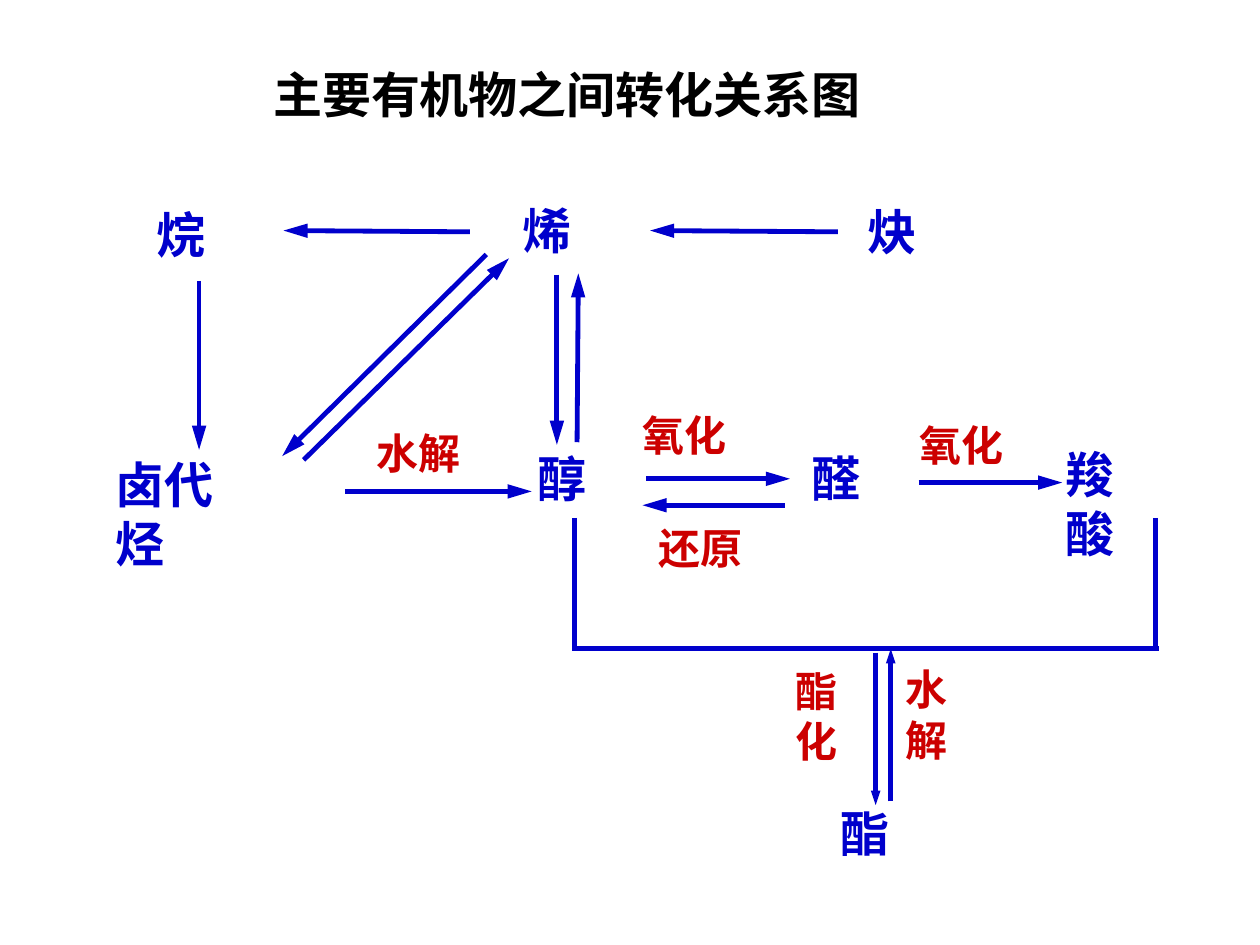
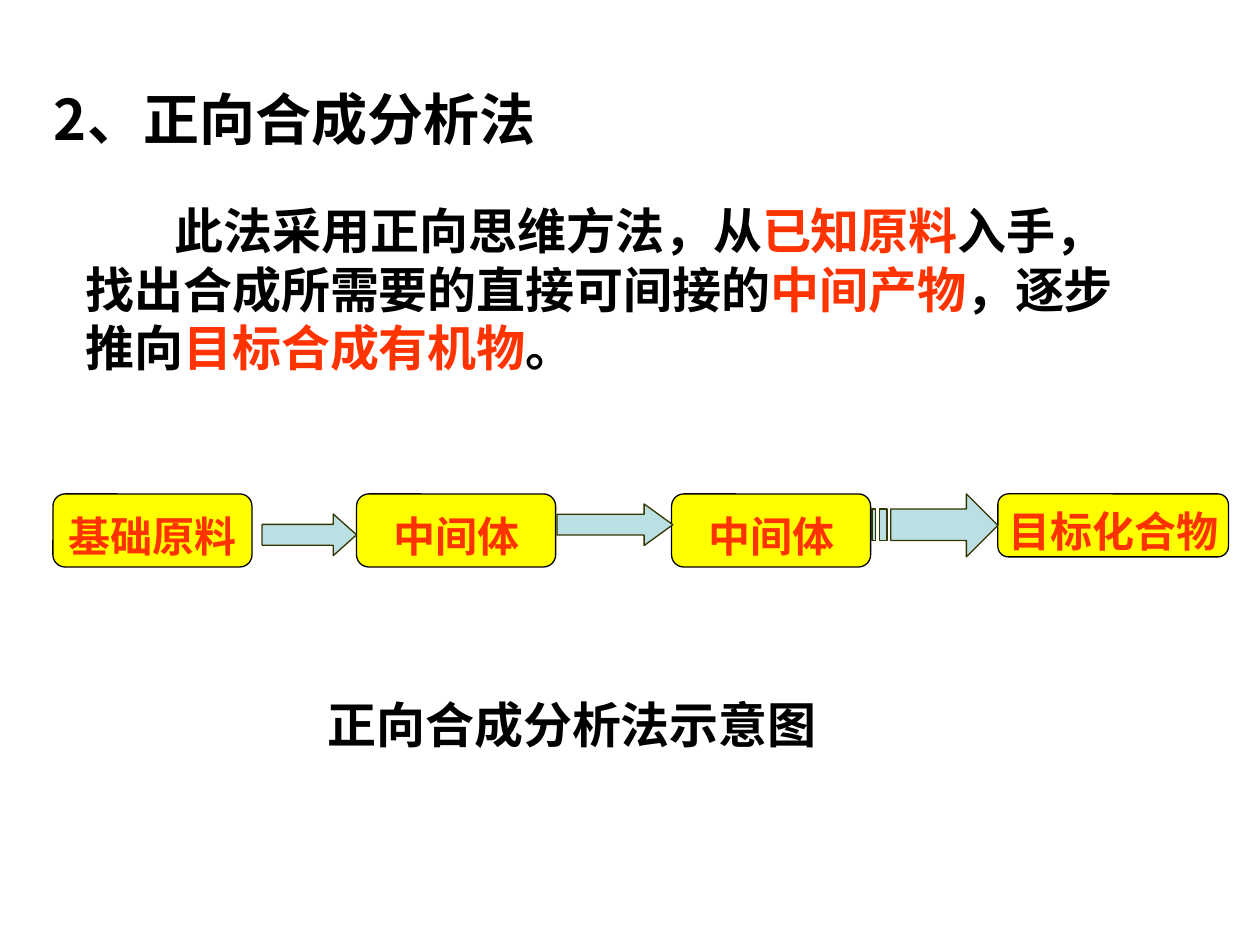
from pptx import Presentation
from pptx.dml.color import RGBColor
from pptx.enum.shapes import MSO_CONNECTOR, MSO_SHAPE
from pptx.enum.text import MSO_ANCHOR, PP_ALIGN
from pptx.oxml.ns import qn
from pptx.util import Inches, Pt
from lxml import etree

BLACK = RGBColor(0x00, 0x00, 0x00)
BLUE = RGBColor(0x00, 0x00, 0xCC)
RED = RGBColor(0xCC, 0x00, 0x00)
ORANGE = RGBColor(0xFF, 0x33, 0x00)
YELLOW = RGBColor(0xFF, 0xFF, 0x00)
TEAL = RGBColor(0xBB, 0xE0, 0xE3)
OLIVE = RGBColor(0x33, 0x33, 0x00)

SANS = "Noto Sans CJK SC"
SERIF = "Times New Roman"
LINE_SPACING = 1.2


def style_paragraph(paragraph, size, color, font_name):
    paragraph.line_spacing = Pt(size * LINE_SPACING)
    font = paragraph.font
    font.size, font.bold, font.name = Pt(size), True, font_name
    font.color.rgb = color
    properties = paragraph._p.get_or_add_pPr().find(qn("a:defRPr"))
    east_asian = etree.Element(qn("a:ea"), typeface=SANS)
    properties.find(qn("a:latin")).addnext(east_asian)


def set_frame(frame, wrap, indent=0.0):
    frame.word_wrap = wrap
    frame.margin_left, frame.margin_right = Inches(0.1 + indent), Inches(0.1)
    frame.margin_top, frame.margin_bottom = Inches(0.09), Inches(0.01)


def add_label(slide, text, box, size, color, font_name=SANS, wrap=True, indent=0.0):
    frame = slide.shapes.add_textbox(*map(Inches, box)).text_frame
    set_frame(frame, wrap, indent)
    frame.text = text
    for paragraph in frame.paragraphs:
        style_paragraph(paragraph, size, color, font_name)


def add_compound(slide, name, left, top, width, indent=0.0):
    add_label(slide, name, (left, top, width, 0.57), 28, BLUE, wrap=False, indent=indent)


def add_reaction(slide, name, left, top, height=0.5, indent=0.0):
    add_label(slide, name, (left, top, 1.37, height), 24, RED, indent=indent)


def add_line(slide, start, end, head=None):
    line = slide.shapes.add_connector(MSO_CONNECTOR.STRAIGHT, *map(Inches, start + end))
    line.line.color.rgb = BLUE
    line.line.width = Pt(2.75)
    properties = line._element.spPr
    if head:
        width, length = head
        etree.SubElement(properties.find(qn("a:ln")), qn("a:tailEnd"),
                         type="triangle", w=width, len=length)
    etree.SubElement(properties, qn("a:effectLst"))


def paint(shape, fill, outline):
    shape.shadow.inherit = False
    shape.fill.solid()
    shape.fill.fore_color.rgb = fill
    shape.line.color.rgb = outline
    shape.line.width = Pt(0.75)


def add_stage(slide, name, left, width, height):
    stage = slide.shapes.add_shape(
        MSO_SHAPE.ROUNDED_RECTANGLE, *map(Inches, (left, 3.92, width, height)))
    paint(stage, YELLOW, BLACK)
    frame = stage.text_frame
    set_frame(frame, wrap=False)
    frame.vertical_anchor = MSO_ANCHOR.MIDDLE
    frame.text = name
    paragraph = frame.paragraphs[0]
    paragraph.alignment = PP_ALIGN.CENTER
    style_paragraph(paragraph, 24, ORANGE, SERIF)


def add_step_arrow(slide, left, top, width, head_ratio):
    arrow = slide.shapes.add_shape(
        MSO_SHAPE.RIGHT_ARROW, *map(Inches, (left, top, width, 0.33)))
    arrow.adjustments[1] = head_ratio
    paint(arrow, TEAL, OLIVE)


def add_striped_arrow(slide):
    top, upper, middle, lower, bottom = 3.92, 4.04, 4.17, 4.29, 4.42
    neck, tip = 7.67, 7.92
    outlines = [[(neck, top), (neck, upper), (7.07, upper), (7.07, lower),
                 (neck, lower), (neck, bottom), (tip, middle)]]
    for left, right in ((6.98, 7.04), (6.92, 6.95)):
        outlines.append([(left, upper), (left, lower), (right, lower), (right, upper)])
    points = [[(Inches(x), Inches(y)) for x, y in outline] for outline in outlines]
    builder = slide.shapes.build_freeform(*points[0][0])
    builder.add_line_segments(points[0][1:], close=True)
    for stripe in points[1:]:
        builder.move_to(*stripe[0])
        builder.add_line_segments(stripe[1:], close=True)
    paint(builder.convert_to_shape(), TEAL, OLIVE)


def build_conversion_map(slide):
    add_label(slide, "主要有机物之间转化关系图", (2.07, 0.42, 4.86, 0.57), 28, BLACK, wrap=False)

    for compound in (
        ("烷", 0.95, 1.53, 0.79, 0.19), ("烯", 3.95, 1.5, 0.69, 0.1),
        ("炔", 6.79, 1.51, 0.59), ("卤代烃", 0.82, 3.52, 1.36),
        ("醇", 4.17, 3.47, 0.59), ("醛", 6.34, 3.47, 0.59),
        ("羧酸", 8.36, 3.44, 0.97), ("酯", 6.57, 6.29, 0.59),
    ):
        add_compound(slide, *compound)

    for reaction in (
        ("水解", 2.74, 3.3, 0.5, 0.15), ("氧化", 5, 3.16), ("氧化", 7.2, 3.24),
        ("还原", 5.13, 4.06), ("酯\n化", 6.14, 5.19, 0.9, 0.07),
        ("水\n解", 7.09, 5.18, 0.9),
    ):
        add_reaction(slide, *reaction)

    for start, end in (
        ((3.73, 1.84), (2.25, 1.83)), ((6.65, 1.84), (5.16, 1.83)),
        ((1.58, 2.23), (1.58, 3.57)), ((3.86, 2.02), (2.24, 3.62)),
        ((2.41, 3.65), (4.04, 2.05)), ((4.42, 2.18), (4.42, 3.53)),
        ((4.58, 3.51), (4.59, 2.17)), ((2.74, 3.9), (4.22, 3.9)),
        ((5.13, 3.8), (6.27, 3.8)), ((6.23, 4.01), (5.1, 4.01)),
        ((7.29, 3.83), (8.43, 3.83)),
    ):
        add_line(slide, start, end, head=("med", "lg"))

    for start, end in (((6.95, 5.18), (6.95, 6.39)), ((7.07, 6.36), (7.07, 5.15))):
        add_line(slide, start, end, head=("sm", "med"))

    for start, end in (((4.56, 4.11), (4.56, 5.15)), ((4.54, 5.15), (9.2, 5.15)),
                       ((9.17, 4.11), (9.17, 5.15))):
        add_line(slide, start, end)


def add_method_summary(slide):
    frame = slide.shapes.add_textbox(*map(Inches, (0.58, 1.42, 8.5, 1.58))).text_frame
    set_frame(frame, wrap=True)
    frame.vertical_anchor = MSO_ANCHOR.BOTTOM
    paragraph = frame.paragraphs[0]
    paragraph._p.get_or_add_pPr().set("indent", str(Inches(0.71)))
    style_paragraph(paragraph, 28, BLACK, SERIF)
    for text, is_key in (
        ("此法采用正向思维方法，从", False), ("已知原料", True),
        ("入手，找出合成所需要的直接可间接的", False), ("中间产物", True),
        ("，逐步推向", False), ("目标合成有机物", True), ("。", False),
    ):
        run = paragraph.add_run()
        run.text = text
        if is_key:
            run.font.color.rgb = ORANGE


def build_forward_synthesis(slide):
    add_label(slide, "2、正向合成分析法", (0.33, 0.58, 4.5, 0.64), 32, BLACK)
    add_method_summary(slide)
    for stage in (("基础原料", 0.42, 1.58, 0.58), ("中间体", 2.83, 1.58, 0.58),
                  ("中间体", 5.33, 1.58, 0.58), ("目标化合物", 7.92, 1.83, 0.5)):
        add_stage(slide, *stage)
    add_step_arrow(slide, 2.08, 4.08, 0.75, 0.56)
    add_step_arrow(slide, 4.42, 4, 0.92, 0.69)
    add_striped_arrow(slide)
    add_label(slide, "正向合成分析法示意图", (2.5, 5.42, 4.42, 0.57), 28, BLACK, SERIF)


def main():
    presentation = Presentation()
    presentation.slide_width, presentation.slide_height = Inches(10), Inches(7.5)
    blank = presentation.slide_layouts[6]
    for build in (build_conversion_map, build_forward_synthesis):
        build(presentation.slides.add_slide(blank))
    presentation.save("out.pptx")


if __name__ == "__main__":
    main()
